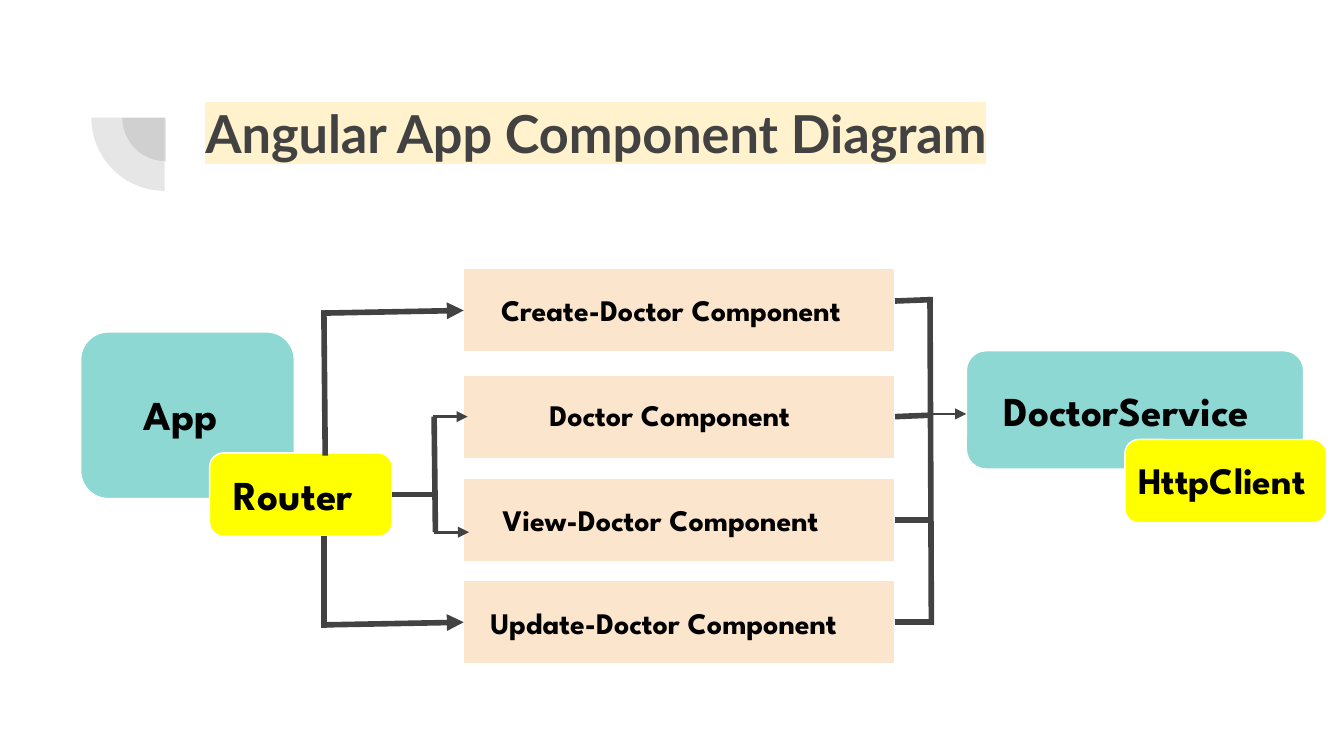
from lxml import etree
from pptx import Presentation
from pptx.dml.color import RGBColor
from pptx.enum.shapes import MSO_CONNECTOR as CONN, MSO_SHAPE as SHAPE
from pptx.oxml.ns import qn
from pptx.util import Inches, Pt

DARK, PEACH, TEAL, YELLOW = "424242", "FCE5CD", "8DD8D3", "FFFF00"
LEFT, RIGHT = 1, 3  # connection sites

# Component: row top, label left, label top
COMPONENTS = {
    "Create-Doctor Component": (2.0, 3.63, 2.07),
    "Doctor Component": (2.79, 3.99, 2.85),
    "View-Doctor Component": (3.56, 3.64, 3.63),
    "Update-Doctor Component": (4.32, 3.55, 4.4),
}


def color(value):
    return RGBColor.from_string(value)


def add_box(slide, kind, left, top, width, height, fill):
    s = slide.shapes.add_shape(kind, Inches(left), Inches(top),
                               Inches(width), Inches(height))
    s.shadow.inherit = False
    s.fill.solid()
    s.fill.fore_color.rgb = color(fill)
    s.line.color.rgb = color("FFFFFF")
    s.line.width = Pt(0.75)
    return s


def add_quarter(slide, left, top, size):
    """Translucent lower-left quarter disc."""
    s = add_box(slide, SHAPE.PIE, left, top, size, size, DARK)
    s.adjustments[0], s.adjustments[1] = 108, 162
    s.rotation = 270
    s.line.fill.background()
    rgb = s.fill._xPr.find(qn("a:solidFill"))[0]
    etree.SubElement(rgb, qn("a:alpha"), val="13000")


def add_label(slide, text, left, top, width, height, size,
              font="League Spartan", fill="000000", highlight=None):
    s = slide.shapes.add_textbox(Inches(left), Inches(top),
                                 Inches(width), Inches(height))
    tf = s.text_frame
    tf.word_wrap = True
    tf.margin_left = tf.margin_right = Inches(0.1)
    tf.margin_top = tf.margin_bottom = Inches(0.1)
    r = tf.paragraphs[0].add_run()
    r.text = text
    r.font.name, r.font.size, r.font.bold = font, Pt(size), True
    r.font.color.rgb = color(fill)
    if highlight:
        mark = etree.Element(qn("a:highlight"))
        etree.SubElement(mark, qn("a:srgbClr"), val=highlight)
        r.font._element.find(qn("a:solidFill")).addnext(mark)


def add_line(slide, start, end, width=3, arrow=False, join=None):
    """Straight line; join is the (shape, side) where it ends."""
    c = slide.shapes.add_connector(CONN.STRAIGHT, *map(Inches, start + end))
    if join:
        c.end_connect(*join)
    c.line.color.rgb = color(DARK)
    c.line.width = Pt(width)
    if arrow:
        etree.SubElement(c.line._get_or_add_ln(), qn("a:tailEnd"), type="triangle")
    etree.SubElement(c._element.spPr, qn("a:effectLst"))


def main():
    prs = Presentation()
    prs.slide_width = Inches(10)
    prs.slide_height = Inches(10 * 9 / 16)
    slide = prs.slides.add_slide(prs.slide_layouts[6])

    # Corner ornament and title
    add_quarter(slide, 0.91, 0.55, 0.65)
    add_quarter(slide, 0.68, 0.33, 1.09)
    add_label(slide, "Angular App Component Diagram", 1.43, 0.65, 7.69, 1.09,
              28, "Lato", DARK, "FFF2CC")

    # Component rows
    rows = []
    for name, (top, label_left, label_top) in COMPONENTS.items():
        rows.append(add_box(slide, SHAPE.RECTANGLE, 3.45, top, 3.21, 0.62, PEACH))
        add_label(slide, name, label_left, label_top, 3.03, 0.47, 16)
    create, doctor, view, update = rows

    # App and service, with their overlapping tags
    add_box(slide, SHAPE.ROUNDED_RECTANGLE, 0.6, 2.47, 1.59, 1.24, TEAL)
    add_label(slide, "App", 0.97, 2.8, 1, 0.57, 22)
    add_box(slide, SHAPE.ROUNDED_RECTANGLE, 7.19, 2.61, 2.51, 0.88, TEAL)
    add_label(slide, "DoctorService", 7.37, 2.77, 2.33, 0.57, 22)
    router = add_box(slide, SHAPE.ROUNDED_RECTANGLE, 1.56, 3.37, 1.36, 0.62, YELLOW)
    add_label(slide, "Router", 1.64, 3.39, 1.28, 0.57, 22)
    add_box(slide, SHAPE.ROUNDED_RECTANGLE, 8.37, 3.27, 1.5, 0.62, YELLOW)
    add_label(slide, "HttpClient", 8.37, 3.3, 1.6, 0.54, 20)

    # Router to the outer components
    add_line(slide, (2.41, 2.31), (2.42, 3.39))
    add_line(slide, (2.41, 3.99), (2.41, 4.67))
    add_line(slide, (2.39, 2.33), (3.45, 2.31), arrow=True, join=(create, LEFT))
    add_line(slide, (2.39, 4.65), (3.45, 4.63), arrow=True, join=(update, LEFT))

    # Router to the inner components
    add_line(slide, (3.22, 3.68), (2.92, 3.68), join=(router, RIGHT))
    add_line(slide, (3.23, 3.1), (3.24, 3.96))
    add_line(slide, (3.22, 3.1), (3.48, 3.1), 1.5, arrow=True)
    add_line(slide, (3.23, 3.96), (3.49, 3.96), 1.5, arrow=True)

    # Components to the service
    add_line(slide, (6.92, 2.21), (6.93, 4.65))
    add_line(slide, (6.92, 2.23), (6.66, 2.24))
    for row, y in ((doctor, 3.09), (view, 3.87), (update, 4.63)):
        add_line(slide, (6.91, y), (6.66, y), join=(row, RIGHT))
    add_line(slide, (6.92, 3.08), (7.19, 3.08), 1.5, arrow=True)

    prs.save("out.pptx")


if __name__ == "__main__":
    main()
